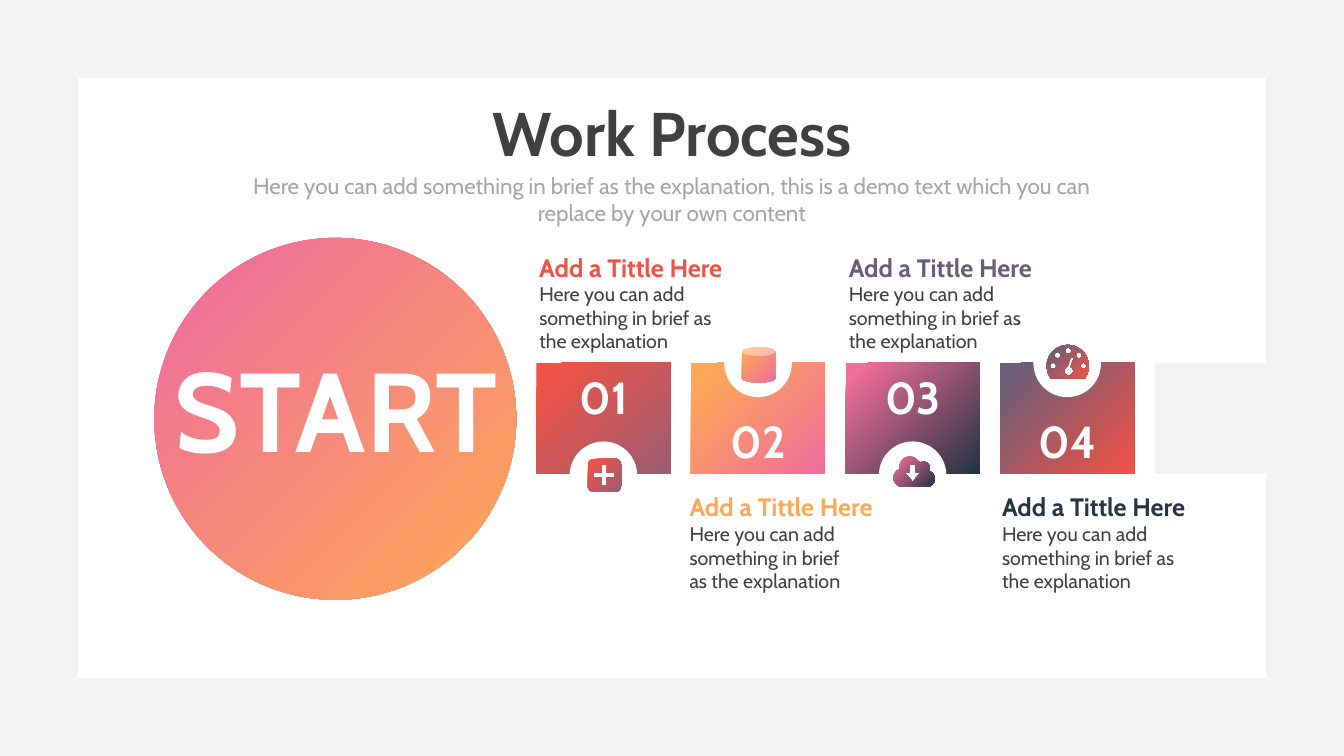
import dataclasses
import math
import typing

import pptx
import pptx.dml.color
import pptx.enum.shapes
import pptx.enum.text
import pptx.oxml.ns
import pptx.util

Inches = pptx.util.Inches
SHAPE = pptx.enum.shapes.MSO_SHAPE
ALIGN = pptx.enum.text.PP_ALIGN
Point = tuple[float, float]
Contour = list[Point]

COLORS = {
    "white": "FFFFFF", "frame": "F2F2F2", "dark": "404040", "gray": "A6A6A6",
    "pink": "EF6E9A", "orange": "FFA956", "red": "F25245", "plum": "9C5D71",
    "violet": "695E78", "navy": "273445",
}
FONT = "Cabin"
EXPLANATION = "Here you can add something in brief as the explanation"
CARD_LEFT, CARD_TOP, CARD_PITCH = 5.32, 3.6, 4.6 / 3
CARD_WIDTH, CARD_HEIGHT, BADGE_SIZE = 1.33, 1.1, 0.67


@dataclasses.dataclass(frozen=True)
class Gradient:
    first: str
    last: str
    start: float = 0.08
    stop: float = 0.98


@dataclasses.dataclass(frozen=True)
class Step:
    gradient: Gradient
    heading_color: str
    caption_left: float
    heading_width: float
    body_width: float
    icon: list[Contour]


def rgb(name: str) -> pptx.dml.color.RGBColor:
    return pptx.dml.color.RGBColor.from_string(COLORS[name])


def paint(shape: typing.Any, fill: str | Gradient) -> None:
    shape.shadow.inherit = False
    shape.line.fill.background()
    if isinstance(fill, str):
        shape.fill.solid()
        shape.fill.fore_color.rgb = rgb(fill)
        return
    shape.fill.gradient()
    shape.fill.gradient_angle = 315
    ends = ((fill.first, fill.start), (fill.last, fill.stop))
    for stop, (color, position) in zip(shape.fill.gradient_stops, ends):
        stop.color.rgb = rgb(color)
        stop.position = position


def add_figure(shapes: typing.Any, kind: typing.Any, left: float, top: float,
               width: float, height: float, fill: str | Gradient) -> typing.Any:
    shape = shapes.add_shape(kind, Inches(left), Inches(top), Inches(width), Inches(height))
    paint(shape, fill)
    return shape


def write(box: typing.Any, text: str, *, left: float, top: float, width: float,
          height: float, size: float, color: str, bold: bool = False,
          align: typing.Any = ALIGN.LEFT, wrap: bool = True) -> None:
    box.left, box.top = Inches(left), Inches(top)
    box.width, box.height = Inches(width), Inches(height)
    frame = box.text_frame
    frame.text = text
    frame.word_wrap = wrap
    frame.auto_size = pptx.enum.text.MSO_AUTO_SIZE.SHAPE_TO_FIT_TEXT
    frame.vertical_anchor = pptx.enum.text.MSO_ANCHOR.TOP
    for para in frame.paragraphs:
        para.alignment = align
        para.space_before = pptx.util.Pt(0)
        for span in para.runs:
            span.font.name = FONT
            span.font.size = pptx.util.Pt(size)
            span.font.bold = bold
            span.font.color.rgb = rgb(color)


def add_text(shapes: typing.Any, text: str, **style: typing.Any) -> None:
    write(shapes.add_textbox(0, 0, 0, 0), text, **style)


def remove_bullets(box: typing.Any) -> None:
    for para in box.text_frame.paragraphs:
        properties = para._p.get_or_add_pPr()
        properties.set("marL", "0")
        properties.set("indent", "0")
        properties.append(properties.makeelement(pptx.oxml.ns.qn("a:buNone"), {}))


def arc(x: float, y: float, radius: float, start: float, stop: float) -> Contour:
    count = 16
    angles = [math.radians(start + (stop - start) * i / count) for i in range(count + 1)]
    return [(x + radius * math.cos(a), y + radius * math.sin(a)) for a in angles]


def plus_icon() -> list[Contour]:
    middle, reach, arm = 0.01, 0.105, 0.025
    tile: Contour = []
    for turn, (x, y) in enumerate(((1, 1), (-1, 1), (-1, -1), (1, -1))):
        tile += arc(middle + x * reach, y * reach, 0.06, 90 * turn, 90 * turn + 90)
    quarter = [(reach, -arm), (reach, arm), (arm, arm)]
    cross: Contour = []
    for _ in range(4):
        cross += [(middle + x, y) for x, y in quarter]
        quarter = [(-y, x) for x, y in quarter]
    return [tile, cross]


def cloud_icon() -> list[Contour]:
    cloud = (arc(-0.1, 0.025, 0.09, 90, 250) + arc(-0.03, -0.085, 0.1, 170, 325)
             + arc(0.11, -0.075, 0.06, 240, 390) + arc(0.14, 0.035, 0.08, 290, 450))
    arrow = [(0.08, -0.025), (0.03, -0.025), (0.03, -0.105), (-0.03, -0.105),
             (-0.03, -0.025), (-0.08, -0.025), (0, 0.065)]
    return [cloud, arrow]


def gauge_icon() -> list[Contour]:
    dome = arc(0.005, 0.025, 0.21, 145, 395)
    marks = [arc(x, y, 0.03, 0, 360) for x, y in arc(0.01, 0.025, 0.15, 180, 360)[::4]]
    needle = arc(0.015, 0.075, 0.045, -65, 255) + [(0.035, -0.065), (0.065, -0.055)]
    return [dome, *marks, needle]


def add_icon(shapes: typing.Any, x: float, y: float, contours: list[Contour],
             fill: Gradient) -> None:
    outlines = [[(Inches(x + dx), Inches(y + dy)) for dx, dy in contour]
                for contour in contours]
    builder = shapes.build_freeform(*outlines[0][0])
    builder.add_line_segments(outlines[0][1:])
    for outline in outlines[1:]:
        builder.move_to(*outline[0])
        builder.add_line_segments(outline[1:])
    paint(builder.convert_to_shape(), fill)


def add_step(page: typing.Any, index: int, step: Step) -> None:
    raised = index % 2 == 1
    left = CARD_LEFT + CARD_PITCH * index
    badge_left, badge_top = left + 0.33, 3.27 if raised else 4.38
    card = page.shapes.add_group_shape().shapes
    add_figure(card, SHAPE.RECTANGLE, left, CARD_TOP, CARD_WIDTH, CARD_HEIGHT, step.gradient)
    add_figure(card, SHAPE.OVAL, badge_left, badge_top, BADGE_SIZE, BADGE_SIZE, "white")
    add_text(card, f"{index + 1:02d}", left=left + 0.24, top=4.06 if raised else 3.62,
             width=0.86, height=0.64, size=32, color="white", bold=True, align=ALIGN.CENTER)
    x, y = badge_left + BADGE_SIZE / 2, badge_top + BADGE_SIZE / 2
    if step.icon:
        add_icon(card, x, y, step.icon, step.gradient)
    else:
        add_figure(card, SHAPE.CAN, x - 0.16, y - 0.16, 0.33, 0.35, step.gradient)

    caption = page.shapes.add_group_shape().shapes
    top = 4.83 if raised else 2.45
    add_text(caption, EXPLANATION, left=step.caption_left, top=top + 0.3,
             width=step.body_width, height=0.81, size=14, color="dark")
    add_text(caption, "Add a Tittle Here", left=step.caption_left, top=top,
             width=step.heading_width, height=0.4, size=18,
             color=step.heading_color, bold=True)


def main() -> None:
    deck = pptx.Presentation()
    deck.slide_width, deck.slide_height = Inches(13.33), Inches(7.5)
    page = deck.slides.add_slide(deck.slide_layouts[1])
    border = add_figure(page.shapes, SHAPE.FRAME, 0, 0, 13.33, 7.5, "frame")
    border.adjustments[0] = 0.103
    add_figure(page.shapes, SHAPE.RECTANGLE, 11.46, CARD_TOP, 1.12, CARD_HEIGHT, "frame")

    write(page.shapes.title, "Work Process", left=4.27, top=0.89, width=4.8, height=0.84,
          size=44, color="dark", bold=True, align=ALIGN.CENTER)
    subtitle = page.placeholders[1]
    write(subtitle, "Here you can add something in brief as the explanation, "
          "this is a demo text which you can\nreplace by your own content",
          left=2.41, top=1.66, width=8.51, height=0.64, size=16, color="gray",
          align=ALIGN.CENTER, wrap=False)
    remove_bullets(subtitle)

    add_figure(page.shapes, SHAPE.OVAL, 1.53, 2.36, 3.59, 3.59,
               Gradient("pink", "orange", 0.07, 1))
    add_text(page.shapes, "START", left=1.6, top=3.33, width=3.47, height=1.45,
             size=80, color="white", bold=True, align=ALIGN.CENTER)

    steps = [
        Step(Gradient("red", "plum"), "red", 5.25, 2.46, 1.95, plus_icon()),
        Step(Gradient("orange", "pink"), "orange", 6.74, 2.12, 1.89, []),
        Step(Gradient("pink", "navy"), "violet", 8.32, 2.27, 1.95, cloud_icon()),
        Step(Gradient("violet", "red", 0.07, 1), "navy", 9.84, 2.14, 1.97, gauge_icon()),
    ]
    for index, step in enumerate(steps):
        add_step(page, index, step)
    deck.save("out.pptx")


if __name__ == "__main__":
    main()
